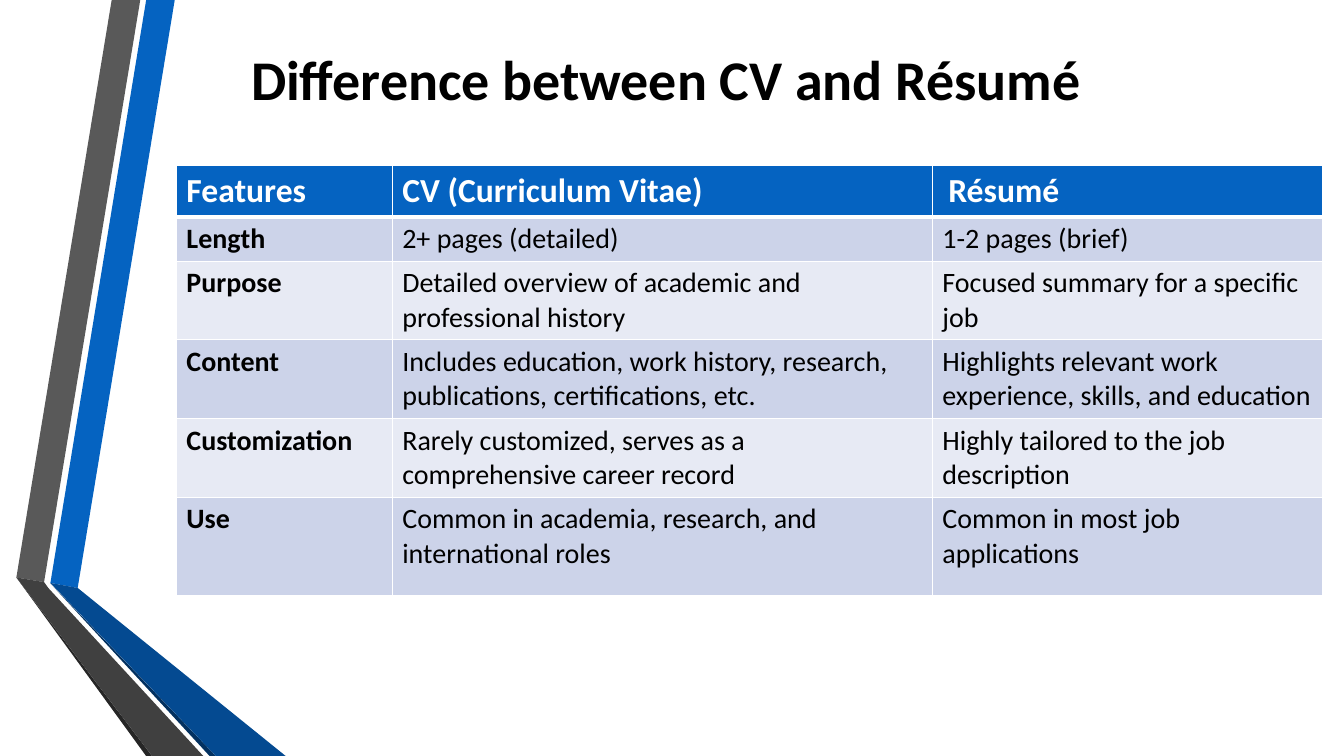
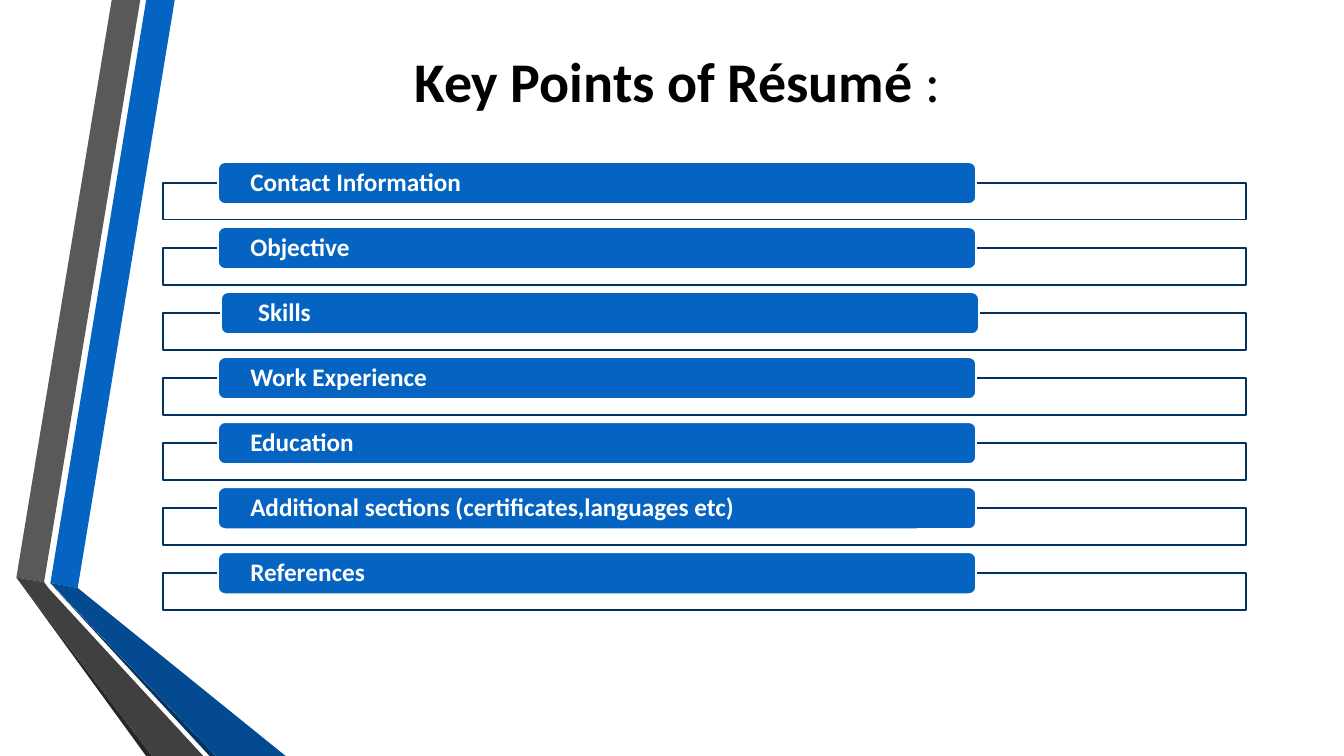
from dataclasses import dataclass

from lxml.etree import SubElement
from pptx import Presentation
from pptx.dml.color import RGBColor
from pptx.enum.shapes import MSO_SHAPE
from pptx.enum.text import MSO_ANCHOR, MSO_AUTO_SIZE, PP_ALIGN
from pptx.oxml.ns import qn
from pptx.util import Emu, Pt

# The slide is a grid of square cells, twelve to the inch.
COLUMNS, ROWS, CELL = 160, 90, 76200


@dataclass(frozen=True)
class Theme:
    font: str = "Calibri"
    blue: str = "0563C1"
    deep_blue: str = "044A91"
    navy: str = "033160"
    outline: str = "023160"
    grey: str = "595959"
    charcoal: str = "404040"
    soot: str = "262626"
    black: str = "000000"
    white: str = "FFFFFF"
    row_bands: tuple = ("CCD3E9", "E7EAF4")
    title_size: int = 40
    header_size: int = 24
    body_size: int = 20
    label_size: int = 18


THEME = Theme()

RIBBONS = [
    (THEME.blue, [(6, 69.4), (9.25, 70), (20.8, 0), (17.4, 0)]),
    (THEME.grey, [(16.7, 0), (13.3, 0), (1.95, 68.75), (5.25, 69.3)]),
    (THEME.soot, [(1.95, 68.75), (17.4, ROWS), (18.1, ROWS)]),
    (THEME.navy, [(6, 69.45), (24.95, ROWS), (25.7, ROWS)]),
    (THEME.deep_blue, [(6, 69.4), (25.7, ROWS), (34, ROWS), (9.25, 70)]),
    (THEME.charcoal, [(24.2, ROWS), (5.75, 70), (5.25, 69.3), (1.95, 68.75), (18.1, ROWS)]),
]

FEATURES = [
    ("Features", "CV (Curriculum Vitae)", "Résumé"),
    ("Length", "2+ pages (detailed)", "1-2 pages (brief)"),
    ("Purpose", "Detailed overview of academic and professional history",
     "Focused summary for a specific job"),
    ("Content", "Includes education, work history, research, publications, certifications, etc.",
     "Highlights relevant work experience, skills, and education"),
    ("Customization", "Rarely customized, serves as a comprehensive career record",
     "Highly tailored to the job description"),
    ("Use", "Common in academia, research, and international roles",
     "Common in most job applications"),
]

KEY_POINTS = [
    "Contact Information",
    "Objective",
    "Skills",
    "Work Experience",
    "Education",
    "Additional sections (certificates,languages etc)",
    "References",
]


def grid(*cells):
    """Turn grid cells into lengths."""
    return [Emu(round(cell * CELL)) for cell in cells]


def style_font(font, size, color, bold=None):
    font.name, font.size, font.bold = THEME.font, Pt(size), bold
    font.color.rgb = RGBColor.from_string(color)


def style_shape(shape, fill, line=None):
    shape.shadow.inherit = False
    shape.fill.solid()
    shape.fill.fore_color.rgb = RGBColor.from_string(fill)
    if line:
        shape.line.color.rgb = RGBColor.from_string(line)
        shape.line.width = Pt(1.25)
    else:
        shape.line.fill.background()


def move_ribbons_to_layout(slide):
    """Draw the ribbons with the slide's builder and hand them to its layout."""
    layout = slide.slide_layout
    for placeholder in list(layout.placeholders):
        if placeholder.placeholder_format.idx != 0:
            layout.shapes.element.remove(placeholder.element)
    for color, corners in RIBBONS:
        points = [grid(*corner) for corner in corners]
        builder = slide.shapes.build_freeform(*points[0])
        builder.add_line_segments(points[1:], close=True)
        ribbon = builder.convert_to_shape()
        style_shape(ribbon, color)
        layout.shapes.element.append(ribbon.element)


def set_title(slide, box, bold_text, plain_text=""):
    title = slide.shapes.title
    title.left, title.top, title.width, title.height = grid(*box)
    frame = title.text_frame
    frame.auto_size = MSO_AUTO_SIZE.NONE
    frame.vertical_anchor = MSO_ANCHOR.MIDDLE
    para = frame.paragraphs[0]
    para.alignment = PP_ALIGN.CENTER
    style_font(para.font, THEME.title_size, THEME.black)
    for text, bold in ((bold_text, True), (plain_text, False)):
        if text:
            span = para.add_run()
            span.text, span.font.bold = text, bold


def set_borders(cell, **widths):
    """Give the cell white borders, with widths in points by side."""
    properties = cell._tc.get_or_add_tcPr()
    for side in ("lnL", "lnR", "lnT", "lnB"):
        line = SubElement(properties, qn(f"a:{side}"), w=str(Pt(widths.get(side, 1))))
        fill = SubElement(line, qn("a:solidFill"))
        SubElement(fill, qn("a:srgbClr"), val=THEME.white)


def add_feature_table(slide, left, top, column_widths, row_heights):
    box = grid(left, top, sum(column_widths), sum(row_heights))
    table = slide.shapes.add_table(len(row_heights), len(column_widths), *box).table
    for column, width in zip(table.columns, grid(*column_widths)):
        column.width = width
    for row, height in zip(table.rows, grid(*row_heights)):
        row.height = height
    for row_number, texts in enumerate(FEATURES):
        header = row_number == 0
        fill = THEME.blue if header else THEME.row_bands[(row_number - 1) % 2]
        for column_number, text in enumerate(texts):
            cell = table.cell(row_number, column_number)
            set_borders(cell, **{"lnB": 3} if header else {"lnT": 3} if row_number == 1 else {})
            cell.fill.solid()
            cell.fill.fore_color.rgb = RGBColor.from_string(fill)
            cell.text = text
            style_font(cell.text_frame.paragraphs[0].font,
                       THEME.header_size if header else THEME.body_size,
                       THEME.white if header else THEME.black,
                       header or column_number == 0)
    table.cell(0, len(column_widths) - 1).margin_left = grid(1.9)[0]


def add_key_point(slide, top, text, shift=0, inset=3.6):
    """Add an outlined bar with a labelled tab that overlaps its upper edge."""
    bar = slide.shapes.add_shape(MSO_SHAPE.RECTANGLE, *grid(19.45, top + 2.5, 128.9, 4.35))
    style_shape(bar, THEME.white, THEME.outline)
    tab = slide.shapes.add_shape(MSO_SHAPE.ROUNDED_RECTANGLE,
                                 *grid(25.95 + shift, top, 90.25, 5))
    style_shape(tab, THEME.blue, THEME.white)
    frame = tab.text_frame
    frame.word_wrap = True
    frame.vertical_anchor = MSO_ANCHOR.MIDDLE
    frame.margin_left, frame.margin_right, frame.margin_top, frame.margin_bottom = grid(
        inset, 3.6, 0, 0)
    para = frame.paragraphs[0]
    para.text, para.alignment, para.line_spacing = text, PP_ALIGN.LEFT, 0.9
    style_font(para.font, THEME.label_size, THEME.white, True)


def main():
    deck = Presentation()
    deck.slide_width, deck.slide_height = grid(COLUMNS, ROWS)
    title_only = deck.slide_layouts[5]

    comparison = deck.slides.add_slide(title_only)
    move_ribbons_to_layout(comparison)
    set_title(comparison, (0, 1.2, 158.5, 16.3), "Difference between CV and Résumé")
    add_feature_table(comparison, 21, 19.7, (25.7, 64.3, 46.5),
                      (6.1, 5.28, 9.36, 9.36, 9.36, 11.75))

    key_points = deck.slides.add_slide(title_only)
    set_title(key_points, (1.3, 2.5, 158.7, 14), "Key Points of Résumé ", ":")
    for number, text in enumerate(KEY_POINTS):
        nudge = {"shift": 0.35, "inset": 4.2} if text == "Skills" else {}
        add_key_point(key_points, 19.3 + 7.74 * number, text, **nudge)

    deck.save("out.pptx")


if __name__ == "__main__":
    main()
